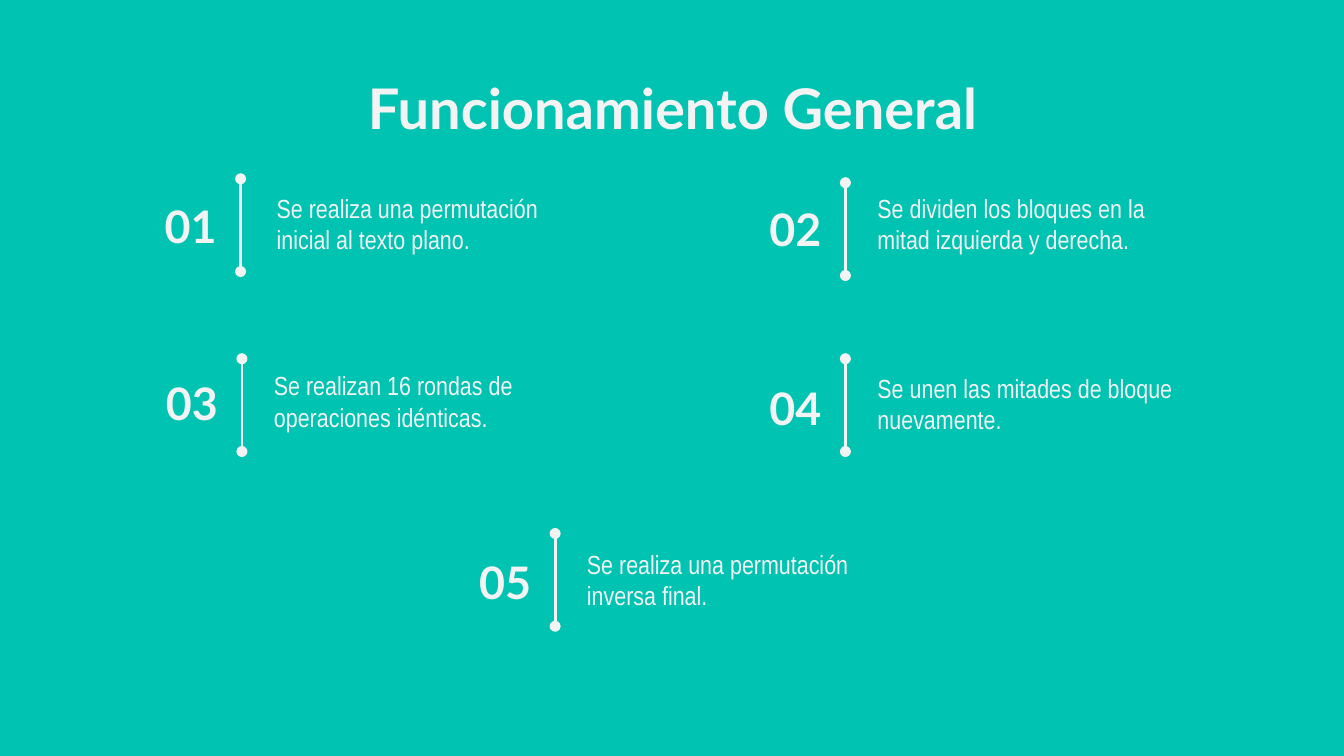
from lxml.etree import SubElement
from pptx import Presentation
from pptx.dml.color import RGBColor
from pptx.enum.shapes import MSO_CONNECTOR
from pptx.enum.text import MSO_ANCHOR, PP_ALIGN
from pptx.oxml.ns import qn
from pptx.util import Pt

WHITE = "F3F3F3"
TEAL = "00C3B1"


def paint(target, color):
    target.rgb = RGBColor.from_string(color)


def add_text(text, left, top, width, height, font="Lato", size=24, bold=True,
             align=PP_ALIGN.LEFT, anchor=MSO_ANCHOR.TOP, after=0):
    box = page.shapes.add_textbox(Pt(left), Pt(top), Pt(width), Pt(height))
    frame = box.text_frame
    frame.word_wrap = True
    frame.vertical_anchor = anchor
    frame.margin_left = frame.margin_right = Pt(7.2)
    frame.margin_top = frame.margin_bottom = Pt(7.2)
    para = frame.paragraphs[0]
    para.alignment = align
    para.space_after = Pt(after)
    span = para.add_run()
    span.text = text
    span.font.name = font
    span.font.size = Pt(size)
    span.font.bold = bold
    paint(span.font.color, WHITE)


deck = Presentation()
deck.slide_width = Pt(720)
deck.slide_height = Pt(405)
page = deck.slides.add_slide(deck.slide_layouts[6])
page.background.fill.solid()
paint(page.background.fill.fore_color, TEAL)

add_text("Funcionamiento General", 56.9, 32.4, 607, 45.4, size=30, align=PP_ALIGN.CENTER)

steps = [
    ("Se realiza una permutación inicial al texto plano.",
     (75.6, 104.4), (128.9, 95.8), (141.1, 95.8)),
    ("Se dividen los bloques en la mitad izquierda y derecha.",
     (399.6, 105.8), (452.9, 97.9), (463, 95.8)),
    ("Se realizan 16 rondas de operaciones idénticas.",
     (76.3, 199.4), (129.6, 192.2), (139.7, 190.8)),
    ("Se unen las mitades de bloque nuevamente.",
     (399.6, 201.6), (452.9, 192.2), (463, 192.2)),
    ("Se realiza una permutación inversa final.",
     (244.1, 295.2), (297.4, 285.8), (307.4, 286.6)),
]

for index, (text, number_at, line_at, text_at) in enumerate(steps, start=1):
    add_text(f"{index:02}", *number_at, 47.5, 33.1,
             align=PP_ALIGN.RIGHT, anchor=MSO_ANCHOR.MIDDLE)
    add_text(text, *text_at, 184.3, 51.1, font="Arial Narrow", size=14, bold=False, after=16)

    x, top = line_at
    divider = page.shapes.add_connector(
        MSO_CONNECTOR.STRAIGHT, Pt(x), Pt(top), Pt(x), Pt(top + 49.7))
    divider.line.width = Pt(1.5)
    paint(divider.line.color, WHITE)
    outline = divider.line._get_or_add_ln()
    for end in ("a:headEnd", "a:tailEnd"):
        SubElement(outline, qn(end), type="oval", w="med", len="med")
    SubElement(outline.getparent(), qn("a:effectLst"))

deck.save("out.pptx")
